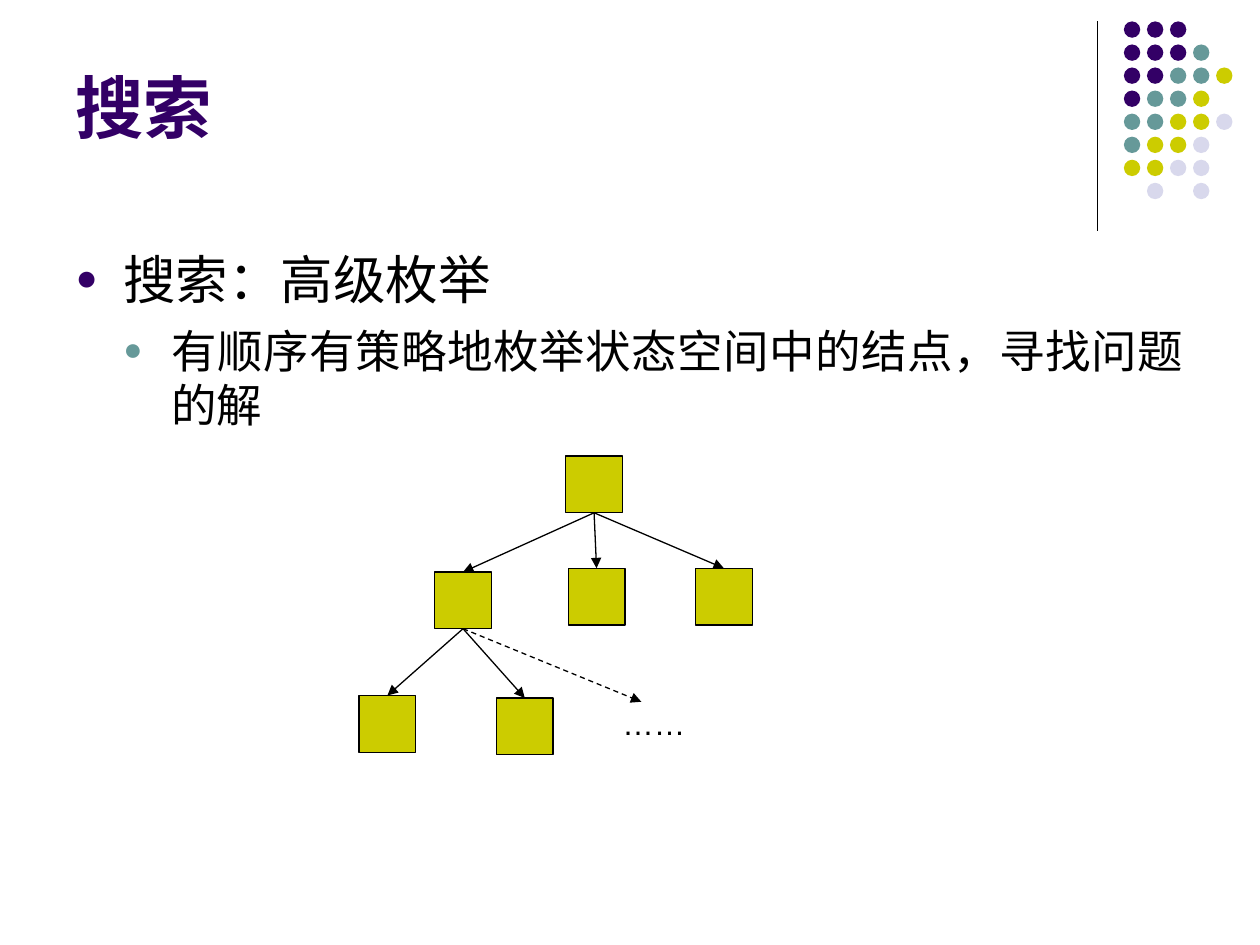
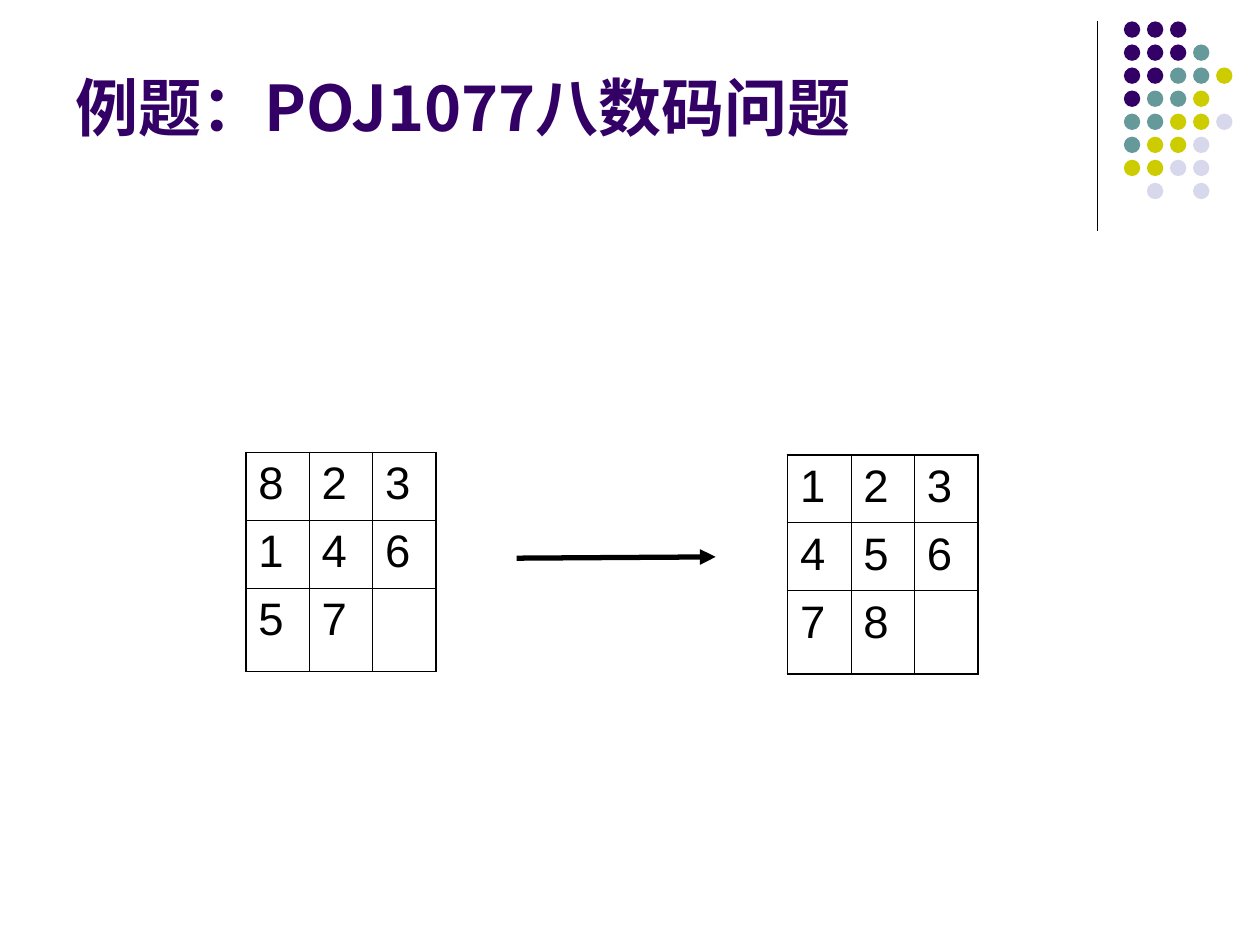
from collections import namedtuple

from lxml import etree
from pptx import Presentation
from pptx.dml.color import RGBColor
from pptx.enum.dml import MSO_LINE
from pptx.enum.shapes import MSO_CONNECTOR, MSO_SHAPE
from pptx.enum.text import MSO_ANCHOR, MSO_AUTO_SIZE, PP_ALIGN
from pptx.oxml.ns import qn
from pptx.util import Inches, Pt

STRAIGHT = MSO_CONNECTOR.STRAIGHT
OVAL, RECTANGLE = MSO_SHAPE.OVAL, MSO_SHAPE.RECTANGLE
LEFT, JUSTIFY = PP_ALIGN.LEFT, PP_ALIGN.JUSTIFY
MIDDLE, NO_AUTOFIT = MSO_ANCHOR.MIDDLE, MSO_AUTO_SIZE.NONE
DASH = MSO_LINE.DASH

PURPLE, TEAL, YELLOW, LAVENDER = "330066", "669999", "CCCC00", "D8D8EC"
BLACK = "000000"
LATIN_FONT, CHINESE_FONT = "Arial", "Noto Sans CJK SC"

SLIDE_WIDTH, SLIDE_HEIGHT = Inches(10), Inches(7.5)
COLUMN, ROW = SLIDE_WIDTH / 100, SLIDE_HEIGHT / 75

# Boxes are counted in columns and rows of the slide grid.
Box = namedtuple("Box", "left top width height")
TITLE_BOX = Box(5, 1.3, 82.5, 14.2)
BODY_BOX = Box(5, 18.8, 90, 48.2)
CORNER_BOX = Box(87.1, 1.7, 10.7, 16.6)
TREE_BOX = Box(28.5, 36.2, 35, 23.7)
START_BOX = Box(19.5, 35.9, 15.1, 17.4)
GOAL_BOX = Box(62.5, 36.1, 15.1, 17.4)

DOT_ROWS = ["PPP", "PPPT", "PPTTY", "PTTY", "TTYYL", "TYYL", "YYLL", " L L"]
DOT_COLOURS = {"P": PURPLE, "T": TEAL, "Y": YELLOW, "L": LAVENDER}
DOT_SIZE, DOT_PITCH, DOT_INDENT = 1.3, 1.83, 2.1

NODE_SIZE = 4.5
NODE_OFFSETS = {
    "root": (16.4, 0),
    "left": (6, 9.2),
    "right": (26.7, 8.9),
    "middle": (16.6, 8.9),
    "left leaf": (0, 19),
    "right leaf": (10.9, 19.2),
}
BRANCHES = [
    ("root", "middle"),
    ("root", "right"),
    ("root", "left"),
    ("left", "left leaf"),
    ("left", "right leaf"),
]

LEVELS = [
    {"size": 30, "bullet": PURPLE, "line": 38, "before": 0},
    {"size": 26, "bullet": TEAL, "line": 31, "before": 7.5},
]
LEVEL_INDENT = Inches(0.38)


def colour(value):
    return RGBColor.from_string(value)


def emu(left, top, *size):
    """Turn alternating columns and rows into slide lengths."""
    return [round(n * unit) for n, unit in zip((left, top, *size), (COLUMN, ROW) * 2)]


def place(shape, box):
    shape.left, shape.top, shape.width, shape.height = emu(*box)


def add_child(parent, tag, **attributes):
    return etree.SubElement(parent, qn(tag), attributes)


def write(paragraph, text, size, color=BLACK, bold=False, align=LEFT,
          font=LATIN_FONT, east_asian=CHINESE_FONT):
    paragraph.alignment = align
    run = paragraph.add_run()
    run.text = text
    run.font.size, run.font.bold, run.font.name = Pt(size), bold, font
    run.font.color.rgb = colour(color)
    add_child(run.font.element if hasattr(run.font, "element")
              else run._r.get_or_add_rPr(), "a:ea", typeface=east_asian)


def add_filled(shapes, kind, box, fill, outline=None):
    shape = shapes.add_shape(kind, *emu(*box))
    shape.shadow.inherit = False
    shape.fill.solid()
    shape.fill.fore_color.rgb = colour(fill)
    if outline:
        shape.line.color.rgb = colour(outline)
        shape.line.width = Pt(0.75)
    else:
        shape.line.fill.background()
    return shape


def add_line(slide, start, end, width=0.75, arrow=True, dash=None):
    line = slide.shapes.add_connector(STRAIGHT, *emu(*start), *emu(*end))
    line.line.color.rgb = colour(BLACK)
    line.line.width = Pt(width)
    if dash:
        line.line.dash_style = dash
    if arrow:
        add_child(line.line._get_or_add_ln(), "a:tailEnd", type="triangle")
    add_child(line.element.spPr, "a:effectLst")
    return line


def add_corner_to_master(slide, box):
    """Draw the rule and dots, then move them to the master all slides share."""
    rule = add_line(slide, (box.left, box.top), (box.left, box.top + box.height),
                    arrow=False)
    dots = slide.shapes.add_group_shape()
    for row, letters in enumerate(DOT_ROWS):
        for column, letter in enumerate(letters):
            if letter in DOT_COLOURS:
                dot = Box(box.left + DOT_INDENT + column * DOT_PITCH,
                          box.top + row * DOT_PITCH, DOT_SIZE, DOT_SIZE)
                add_filled(dots.shapes, OVAL, dot, DOT_COLOURS[letter])
    master_shapes = slide.slide_layout.slide_master.shapes.element
    for shape in (rule, dots):
        master_shapes.append(shape.element)


def fill_title(slide, text, size, font=LATIN_FONT):
    title = slide.shapes.title
    place(title, TITLE_BOX)
    title.text_frame.vertical_anchor = MIDDLE
    title.text_frame.auto_size = NO_AUTOFIT
    write(title.text_frame.paragraphs[0], text, size, color=PURPLE, bold=True, font=font)


def fill_body(slide, box, lines):
    body = slide.placeholders[1]
    place(body, box)
    frame = body.text_frame
    frame.auto_size = NO_AUTOFIT
    for index, (level, text) in enumerate(lines):
        paragraph = frame.paragraphs[0] if index == 0 else frame.add_paragraph()
        style = LEVELS[level]
        paragraph.level = level
        properties = paragraph._p.get_or_add_pPr()
        properties.set("marL", str(LEVEL_INDENT * (level + 1)))
        properties.set("indent", str(-LEVEL_INDENT))
        bullet_colour = add_child(properties, "a:buClr")
        add_child(bullet_colour, "a:srgbClr", val=style["bullet"])
        add_child(properties, "a:buSzPct", val="70000")
        add_child(properties, "a:buFont", typeface=LATIN_FONT)
        add_child(properties, "a:buChar", char="●")
        paragraph.line_spacing = Pt(style["line"])
        paragraph.space_before = Pt(style["before"])
        write(paragraph, text, style["size"], align=JUSTIFY)


def add_search_tree(slide, box):
    nodes = {}
    for name, (across, down) in NODE_OFFSETS.items():
        node_box = Box(box.left + across, box.top + down, NODE_SIZE, NODE_SIZE)
        nodes[name] = add_filled(slide.shapes, RECTANGLE, node_box, YELLOW, BLACK)
    bottom_site, top_site = 2, 0
    for parent, child in BRANCHES:
        branch = add_line(slide, (0, 0), (0, 0))
        branch.begin_connect(nodes[parent], bottom_site)
        branch.end_connect(nodes[child], top_site)
    open_branch = add_line(slide, (0, 0), (box.left + 22.4, box.top + 19.5), dash=DASH)
    open_branch.begin_connect(nodes["left"], bottom_site)

    more = slide.shapes.add_textbox(*emu(box.left + 19.9, box.top + 19.2, 15.1, 4))
    more.text_frame.word_wrap = True
    write(more.text_frame.paragraphs[0], "……", 18, east_asian=LATIN_FONT)


def set_borders(cell, widths):
    """Draw the left, right, top and bottom borders at the given widths."""
    properties = cell._tc.get_or_add_tcPr()
    for index, (side, width) in enumerate(zip("LRTB", widths)):
        border = etree.Element(qn(f"a:ln{side}"), w=str(Pt(width)))
        fill = add_child(border, "a:solidFill")
        add_child(fill, "a:srgbClr", val=BLACK)
        properties.insert(index, border)


def add_puzzle_board(slide, box, rows):
    last = len(rows) - 1
    frame = slide.shapes.add_table(len(rows), len(rows), *emu(*box))
    table = frame.table
    table.first_row = table.horz_banding = False
    for index, height in enumerate((0.31, 0.31, 0.38)):
        table.rows[index].height = round(box.height * ROW * height)
    for row, digits in enumerate(rows):
        for column, digit in enumerate(digits):
            cell = table.cell(row, column)
            cell.fill.background()
            on_edge = (column == 0, column == last, row == 0, row == last)
            set_borders(cell, [1.08 if edge else 0.45 for edge in on_edge])
            if digit != " ":
                write(cell.text_frame.paragraphs[0], digit, 26)


def build_search_slide(presentation):
    slide = presentation.slides.add_slide(presentation.slide_layouts[1])
    add_corner_to_master(slide, CORNER_BOX)
    fill_title(slide, "搜索", 39)
    fill_body(slide, BODY_BOX, [
        (0, "搜索：高级枚举"),
        (1, "有顺序有策略地枚举状态空间中的结点，寻找问题的解"),
    ])
    add_search_tree(slide, TREE_BOX)


def build_puzzle_slide(presentation):
    slide = presentation.slides.add_slide(presentation.slide_layouts[5])
    fill_title(slide, "例题：POJ1077八数码问题", 36, font=CHINESE_FONT)
    add_puzzle_board(slide, GOAL_BOX, ["123", "456", "78 "])
    add_puzzle_board(slide, START_BOX, ["823", "146", "57 "])
    add_line(slide, (41, 44.3), (56.8, 44.2), width=3)


def main():
    presentation = Presentation()
    presentation.slide_width, presentation.slide_height = SLIDE_WIDTH, SLIDE_HEIGHT
    build_search_slide(presentation)
    build_puzzle_slide(presentation)
    presentation.save("out.pptx")


if __name__ == "__main__":
    main()
